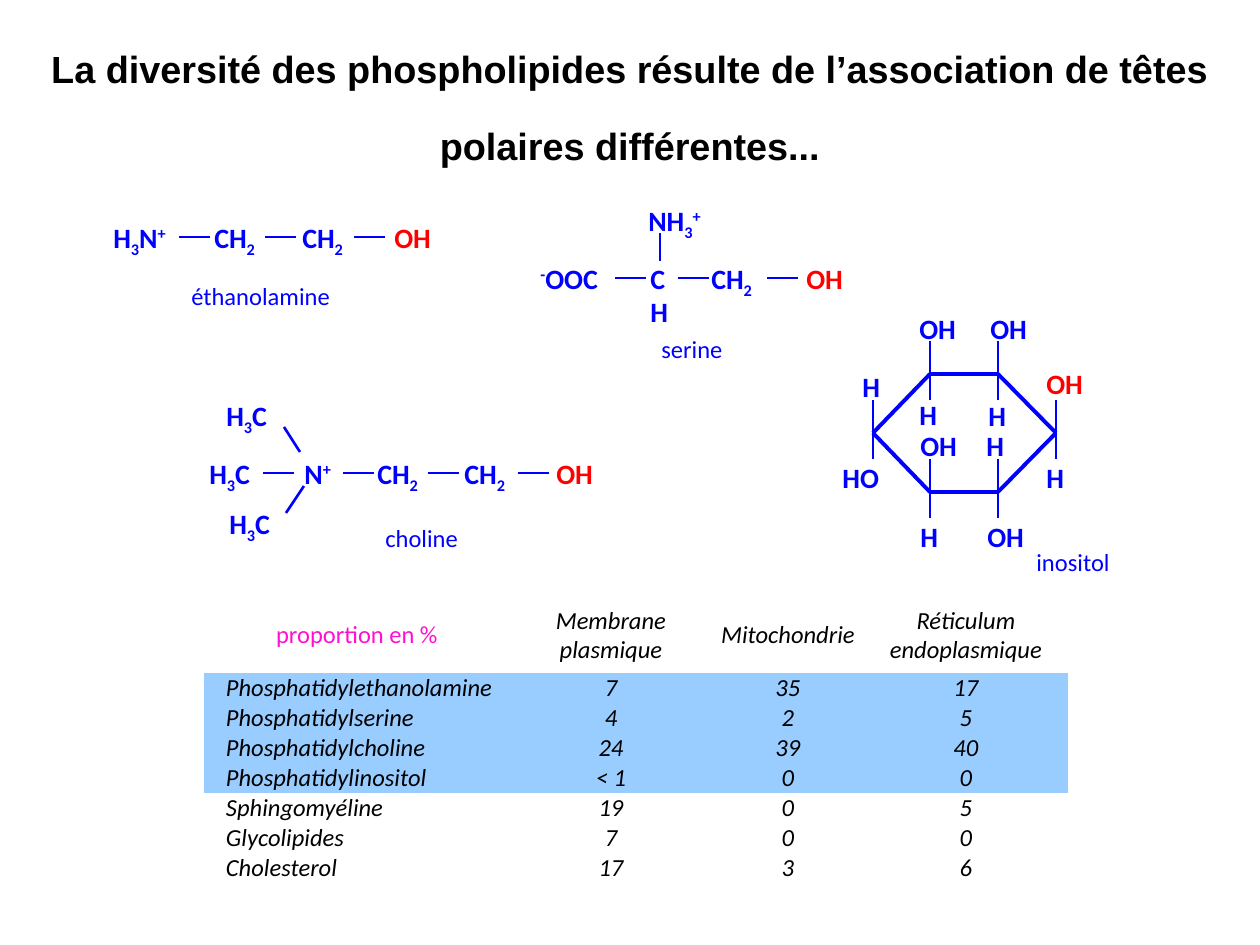
from pptx import Presentation
from pptx.dml.color import RGBColor
from pptx.enum.shapes import MSO_CONNECTOR
from pptx.enum.text import MSO_ANCHOR, PP_ALIGN
from pptx.oxml.ns import qn
from pptx.util import Emu, Pt

CENTER, LEFT = PP_ALIGN.CENTER, PP_ALIGN.LEFT
MIDDLE = MSO_ANCHOR.MIDDLE
STRAIGHT = MSO_CONNECTOR.STRAIGHT

BLACK, BLUE, RED, PINK, BAND = "000000", "0000FF", "FF0000", "FF0FCF", "99CCFF"
NO_STYLE_NO_GRID = "{2D5ABB26-0587-4C30-8999-92F81FD0307C}"
BASELINE = {"_": "-25000", "^": "30000"}
BOND = 31

# Formulas are split at "|"; a part starting with _ or ^ is sub- or superscript.
CH2, H3C = "CH|_2", "H|_3|C"
ATOM_WIDTH = {"H": 45, "CH": 47, "N|^+": 57, "OH": 67, "HO": 67, CH2: 78, H3C: 78,
              "H|_3|N|^+": 88, "NH|_3|^+": 88, "^-|OOC": 96}

TITLE = ("La diversité des phospholipides résulte de l’association "
         "de têtes polaires différentes...")
HEADER = ["proportion en %", "Membrane plasmique", "Mitochondrie", "Réticulum endoplasmique"]
PROPORTIONS = [
    ("Phosphatidylethanolamine", "7", "35", "17"),
    ("Phosphatidylserine", "4", "2", "5"),
    ("Phosphatidylcholine", "24", "39", "40"),
    ("Phosphatidylinositol", "< 1", "0", "0"),
    ("Sphingomyéline", "19", "0", "5"),
    ("Glycolipides", "7", "0", "0"),
    ("Cholesterol", "17", "3", "6"),
]
HIGHLIGHTED_ROWS = range(1, 5)


def px(n):
    return Emu(round(n * 914400 / 126))


def rgb(color):
    return RGBColor.from_string(color)


class Board:
    """Current slide, its drawing target and the text and line style."""

    def __init__(self, prs):
        self.slide = prs.slides.add_slide(prs.slide_layouts[6])
        self.shapes = self.slide.shapes

    def start_group(self):
        self.shapes = self.slide.shapes.add_group_shape().shapes

    def end_group(self):
        self.shapes = self.slide.shapes

    def style(self, p, size, color, name="Calibri", bold=False, italic=False):
        f = p.font
        f.name, f.size, f.bold, f.italic = name, Pt(size), bold, italic
        f.color.rgb = rgb(color)

    def title(self, text):
        sp = self.shapes.add_textbox(px(0), px(14), px(1260), px(154))
        tf = sp.text_frame
        tf.word_wrap = True
        tf.margin_top = tf.margin_bottom = 0
        p = tf.paragraphs[0]
        p.text, p.alignment, p.line_spacing = text, CENTER, Pt(44)
        self.style(p, 21.6, BLACK, "Arial", bold=True)

    def name(self, x, y, w, text):
        sp = self.shapes.add_textbox(px(x), px(y), px(w), px(42))
        sp.text_frame.word_wrap = False
        p = sp.text_frame.paragraphs[0]
        p.text = text
        self.style(p, 14, BLUE)

    def atom(self, x, y, formula, color=BLUE, h=47, wrap=False):
        sp = self.shapes.add_textbox(px(x), px(y), px(ATOM_WIDTH[formula]), px(h))
        sp.text_frame.word_wrap = wrap
        p = sp.text_frame.paragraphs[0]
        for part in formula.split("|"):
            r = p.add_run()
            r.text = part.lstrip("_^")
            if part[0] in BASELINE:
                r._r.get_or_add_rPr().set("baseline", BASELINE[part[0]])
        self.style(p, 16, color, bold=True)

    def bond(self, x1, y1, x2, y2, width=1.5):
        cx = self.shapes.add_connector(STRAIGHT, px(x1), px(y1), px(x2), px(y2))
        cx.line.color.rgb = rgb(BLUE)
        cx.line.width = Pt(width)
        sp_pr = cx._element.spPr
        sp_pr.append(sp_pr.makeelement(qn("a:effectLst"), {}))

    def chain(self, y, atoms, bonds):
        """Atoms in a row, ending in the red OH, with bonds starting at the given x."""
        for x, formula in atoms:
            self.atom(x, y, formula, RED if formula == "OH" else BLUE)
        for x in bonds:
            self.bond(x, y + 23, x + BOND, y + 23)

    def table(self, x, y, widths, header_h, row_h, rows):
        frame = self.shapes.add_table(len(rows), len(widths), px(x), px(y), px(sum(widths)),
                                      px(header_h + row_h * (len(rows) - 1)))
        table = frame.table
        table.first_row = table.horz_banding = False
        table._tbl.tblPr.find(qn("a:tableStyleId")).text = NO_STYLE_NO_GRID
        for column, w in zip(table.columns, widths):
            column.width = px(w)
        for i, row in enumerate(rows):
            table.rows[i].height = px(row_h if i else header_h)
            for j, text in enumerate(row):
                self.cell(table.cell(i, j), text, label=i > 0 and j == 0,
                          corner=i == j == 0, highlighted=i in HIGHLIGHTED_ROWS)

    def cell(self, cell, text, label, corner, highlighted):
        cell.margin_top = cell.margin_bottom = 0
        cell.margin_left = px(22 if label else 4)
        cell.margin_right = px(4)
        cell.vertical_anchor = MIDDLE
        if highlighted:
            cell.fill.solid()
            cell.fill.fore_color.rgb = rgb(BAND)
        else:
            cell.fill.background()
        p = cell.text_frame.paragraphs[0]
        p.text, p.alignment = text, LEFT if label else CENTER
        self.style(p, 14, PINK if corner else BLACK, italic=not corner)


def draw_ethanolamine(board):
    board.start_group()
    board.chain(214, [(101, "H|_3|N|^+"), (202, CH2), (290, CH2), (382, "OH")],
                [179, 265, 354])
    board.end_group()
    board.name(179, 275, 165, "éthanolamine")


def draw_serine(board):
    board.start_group()
    board.chain(255, [(528, "^-|OOC"), (699, CH2), (794, "OH")], [615, 678, 767])
    board.atom(638, 255, "CH", h=80, wrap=True)
    board.atom(636, 197, "NH|_3|^+")
    board.bond(660, 233, 660, 261)
    board.end_group()
    board.name(649, 328, 92, "serine")


def draw_choline(board):
    board.start_group()
    board.chain(450, [(197, H3C), (292, "N|^+"), (365, CH2), (452, CH2), (544, "OH")],
                [263, 343, 428, 518])
    board.atom(214, 392, H3C)
    board.atom(217, 500, H3C)
    board.bond(284, 427, 300, 452)
    board.bond(286, 513, 304, 486)
    board.end_group()
    board.name(373, 517, 103, "choline")


def draw_inositol(board):
    ring = [(930, 374), (998, 374), (1056, 433), (998, 492), (930, 492), (873, 433)]
    board.start_group()
    for (x1, y1), (x2, y2) in zip(ring, ring[1:] + ring[:1]):
        board.bond(x1, y1, x2, y2, 2.25)
    for x, y in ring:
        board.bond(x, y - 33, x, y + 26)
    for x, y, formula in [(907, 305, "OH"), (978, 305, "OH"), (908, 422, "OH"),
                          (975, 513, "OH"), (830, 454, "HO"), (850, 363, "H"),
                          (907, 391, "H"), (976, 392, "H"), (974, 422, "H"),
                          (1034, 454, "H"), (908, 513, "H")]:
        board.atom(x, y, formula)
    board.atom(1034, 360, "OH", RED)
    board.end_group()
    board.name(1024, 541, 102, "inositol")


def main():
    prs = Presentation()
    prs.slide_width, prs.slide_height = px(1260), px(945)
    board = Board(prs)
    board.title(TITLE)
    draw_ethanolamine(board)
    draw_serine(board)
    draw_choline(board)
    draw_inositol(board)
    board.table(204, 598, [306, 202, 152, 204], 75, 30, [HEADER, *PROPORTIONS])
    prs.save("out.pptx")


if __name__ == "__main__":
    main()
